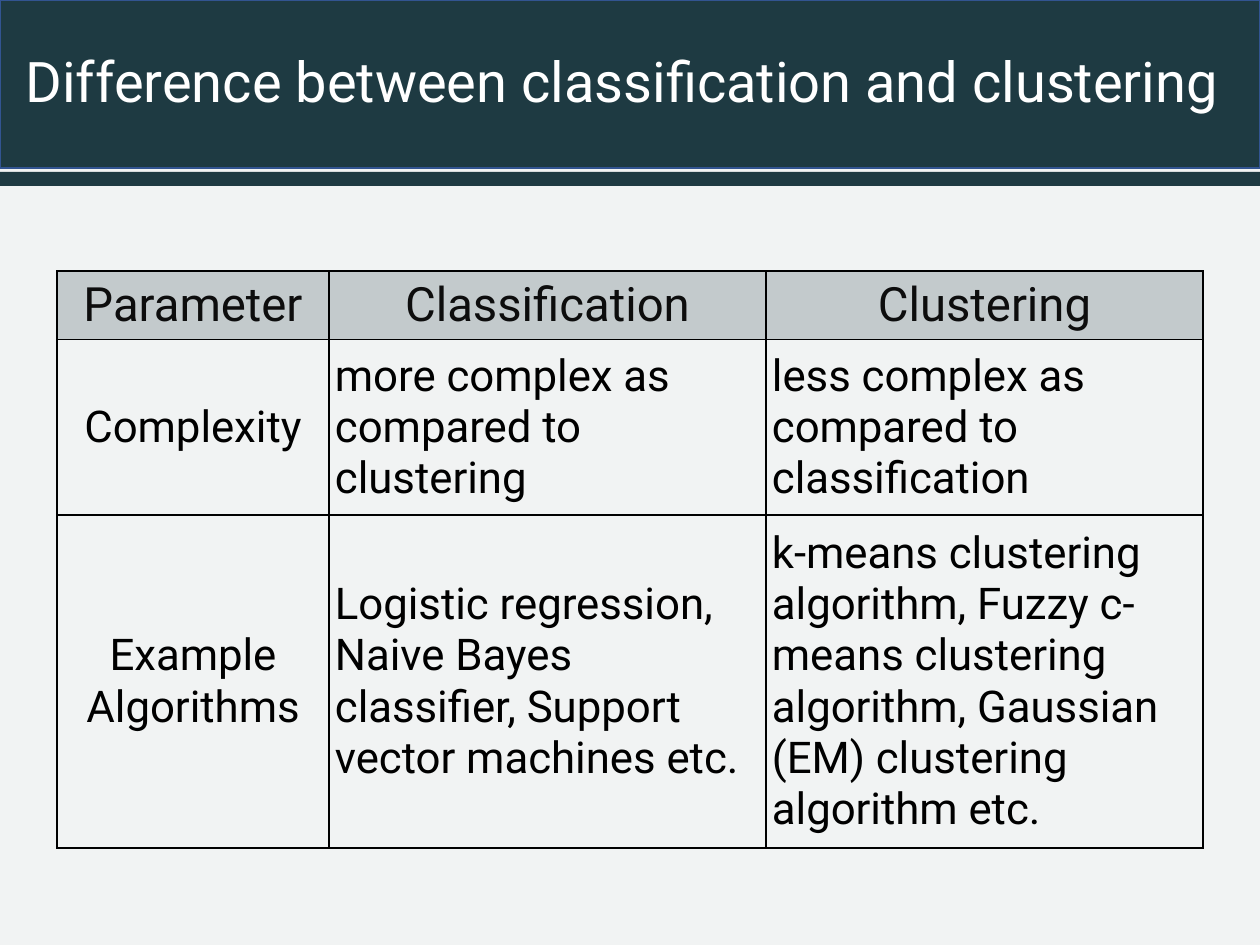
"""Build a slide comparing classification and clustering in a table."""
from typing import NamedTuple

from lxml.etree import SubElement
from pptx import Presentation
from pptx.dml.color import RGBColor
from pptx.enum.shapes import MSO_SHAPE
from pptx.enum.text import MSO_ANCHOR, PP_ALIGN
from pptx.oxml.ns import qn
from pptx.slide import Slide
from pptx.table import _Cell
from pptx.text.text import _Paragraph
from pptx.util import Emu, Pt

PX_PER_INCH = 126
TEAL = RGBColor(0x1E, 0x3A, 0x42)
BLUE = RGBColor(0x32, 0x54, 0x91)
PALE = RGBColor(0xF1, 0xF3, 0xF3)
GREY = RGBColor(0xC3, 0xCA, 0xCC)
WHITE = RGBColor(0xFF, 0xFF, 0xFF)
INK = RGBColor(0x0D, 0x0D, 0x0D)
BLACK = RGBColor(0x00, 0x00, 0x00)


class Box(NamedTuple):
    left: int
    top: int
    width: int
    height: int


class Band(NamedTuple):
    box: Box
    line: RGBColor | None


class TextStyle(NamedTuple):
    size: int
    color: RGBColor


BANDS = [Band(Box(0, 0, 1260, 168), BLUE), Band(Box(0, 172, 1260, 14), None)]
TITLE_BOX = Box(13, 0, 1247, 168)
TITLE = "Difference between classification and clustering"
TITLE_STYLE = TextStyle(32, WHITE)
HEADER_STYLE = TextStyle(27, INK)
BODY_STYLE = TextStyle(25, BLACK)

TABLE_LEFT, TABLE_TOP = 57, 271
COLUMN_WIDTHS = [272, 437, 437]
ROW_HEIGHTS = [68, 173, 326]
ROWS = [
    ["Parameter", "Classification", "Clustering"],
    [
        "Complexity",
        "more complex as compared to clustering",
        "less complex as compared to classification",
    ],
    [
        "Example Algorithms",
        "Logistic regression, Naive Bayes classifier, Support vector machines etc.",
        "k-means clustering algorithm, Fuzzy c-means clustering algorithm, "
        "Gaussian (EM) clustering algorithm etc.",
    ],
]


def px(length: int) -> Emu:
    """Turn pixels into EMU."""
    return Emu(round(length * 914400 / PX_PER_INCH))


def set_text(paragraph: _Paragraph, text: str, style: TextStyle) -> None:
    """Write one formatted run."""
    run = paragraph.add_run()
    run.text = text
    formats = {"name": "Roboto", "size": Pt(style.size), "bold": False}
    for name, value in formats.items():
        setattr(run.font, name, value)
    run.font.color.rgb = style.color


def add_band(slide: Slide, band: Band) -> None:
    """Draw a filled band across the slide."""
    shape = slide.shapes.add_shape(MSO_SHAPE.RECTANGLE, *map(px, band.box))
    shape.shadow.inherit = False
    shape.fill.solid()
    shape.fill.fore_color.rgb = TEAL
    if band.line is None:
        shape.line.fill.background()
    else:
        shape.line.color.rgb = band.line
        shape.line.width = Pt(1)


def add_title(slide: Slide) -> None:
    """Place the title over the upper band."""
    frame = slide.shapes.add_textbox(*map(px, TITLE_BOX)).text_frame
    frame.word_wrap = True
    frame.vertical_anchor = MSO_ANCHOR.MIDDLE
    paragraph = frame.paragraphs[0]
    paragraph.line_spacing = 0.9
    set_text(paragraph, TITLE, TITLE_STYLE)


def set_borders(cell: _Cell) -> None:
    """Give a cell thin black lines on all four sides."""
    properties = cell._tc.get_or_add_tcPr()
    for side in ("a:lnL", "a:lnR", "a:lnT", "a:lnB"):
        line = SubElement(properties, qn(side), w=str(Pt(1)))
        fill = SubElement(line, qn("a:solidFill"))
        SubElement(fill, qn("a:srgbClr"), val=str(BLACK))


def fill_cell(cell: _Cell, text: str, is_header: bool, is_centred: bool) -> None:
    """Format a cell and write its text."""
    set_borders(cell)
    if is_header:
        cell.fill.solid()
        cell.fill.fore_color.rgb = GREY
    else:
        cell.fill.background()
    vertical = px(6 if is_header else 9)
    formats = {
        "vertical_anchor": MSO_ANCHOR.MIDDLE,
        "margin_left": px(6),
        "margin_right": px(6),
        "margin_top": vertical,
        "margin_bottom": vertical,
    }
    for name, value in formats.items():
        setattr(cell, name, value)
    paragraph = cell.text_frame.paragraphs[0]
    paragraph.alignment = PP_ALIGN.CENTER if is_centred else PP_ALIGN.LEFT
    set_text(paragraph, text, HEADER_STYLE if is_header else BODY_STYLE)


def add_comparison(slide: Slide) -> None:
    """Add the comparison table."""
    box = Box(TABLE_LEFT, TABLE_TOP, sum(COLUMN_WIDTHS), sum(ROW_HEIGHTS))
    table = slide.shapes.add_table(
        len(ROWS), len(COLUMN_WIDTHS), *map(px, box)
    ).table
    table.first_row = table.horz_banding = False
    for column, width in zip(table.columns, COLUMN_WIDTHS):
        column.width = px(width)
    for row, height, texts in zip(table.rows, ROW_HEIGHTS, ROWS):
        row.height = px(height)
        is_header = texts is ROWS[0]
        for index, (cell, text) in enumerate(zip(row.cells, texts)):
            fill_cell(cell, text, is_header, is_header or index == 0)


def main() -> None:
    """Build and save the presentation."""
    presentation = Presentation()
    presentation.slide_width = px(1260)
    presentation.slide_height = px(945)
    slide = presentation.slides.add_slide(presentation.slide_layouts[6])
    slide.background.fill.solid()
    slide.background.fill.fore_color.rgb = PALE
    for band in BANDS:
        add_band(slide, band)
    add_title(slide)
    add_comparison(slide)
    presentation.save("out.pptx")


if __name__ == "__main__":
    main()
